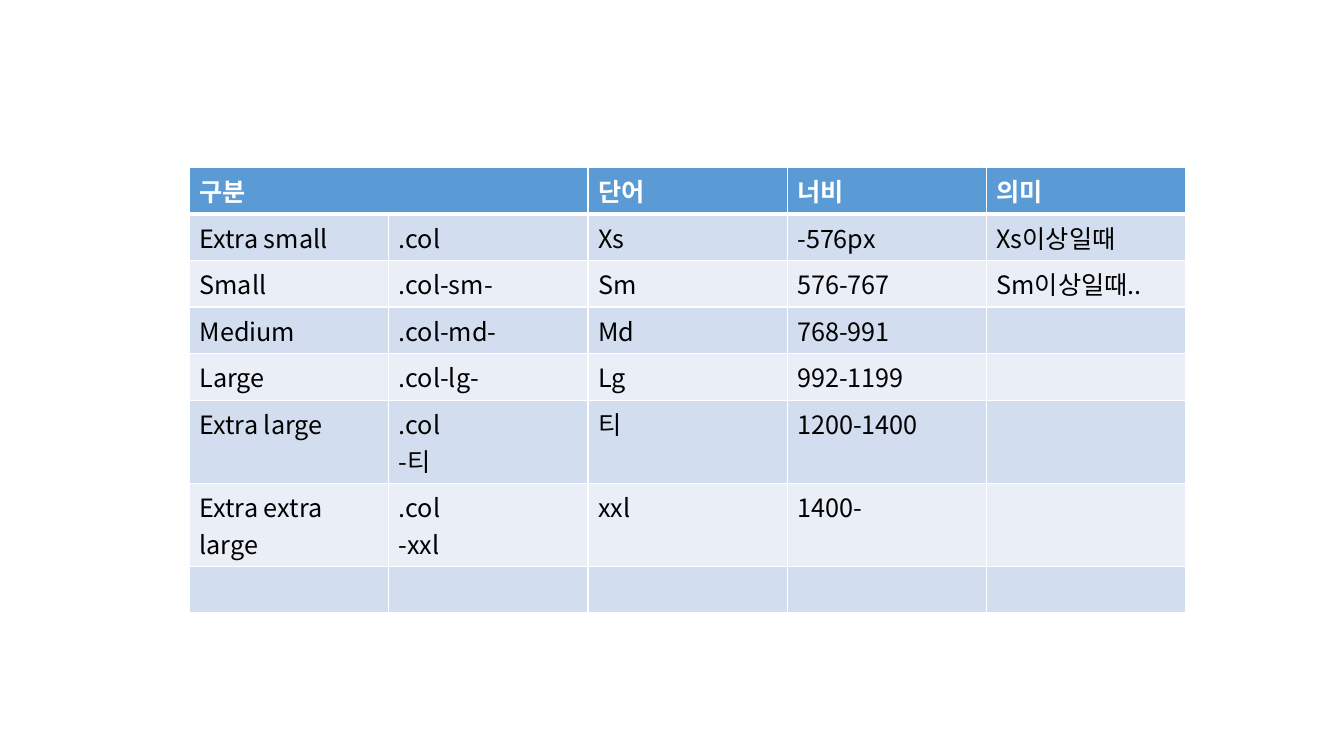
from lxml.etree import SubElement
from pptx import Presentation
from pptx.dml.color import RGBColor
from pptx.oxml.ns import qn
from pptx.util import Inches, Pt

FONT = "Noto Sans CJK KR"
WHITE = RGBColor(0xFF, 0xFF, 0xFF)
BLACK = RGBColor(0, 0, 0)
HEADER_BLUE = RGBColor(0x5B, 0x9B, 0xD5)
BANDS = [RGBColor(0xEA, 0xEF, 0xF7), RGBColor(0xD2, 0xDE, 0xEF)]

ROWS = [
    ["구분", "", "단어", "너비", "의미"],
    ["Extra small", ".col", "Xs", "-576px", "Xs이상일때"],
    ["Small", ".col-sm-", "Sm", "576-767", "Sm이상일때.."],
    ["Medium", ".col-md-", "Md", "768-991", ""],
    ["Large", ".col-lg-", "Lg", "992-1199", ""],
    ["Extra large", ".col\n-티", "티", "1200-1400", ""],
    ["Extra extra large", ".col\n-xxl", "xxl", "1400-", ""],
    [""] * 5,
]
ROW_HEIGHTS = [0.46] * 5 + [0.8] * 2 + [0.46]


def set_borders(cell, bottom_width):
    """Give a cell white 1 pt borders and a bottom border of the given width."""
    tc_pr = cell._tc.get_or_add_tcPr()
    for side, width in (("L", 1), ("R", 1), ("T", 1), ("B", bottom_width)):
        line = SubElement(tc_pr, qn(f"a:ln{side}"), w=str(Pt(width)))
        fill = SubElement(line, qn("a:solidFill"))
        SubElement(fill, qn("a:srgbClr"), val=str(WHITE))


def format_run(r, is_header):
    """Set the font of a run for Latin and Korean text."""
    r.font.name = FONT
    r.font.size = Pt(18)
    r.font.bold = is_header
    r.font.color.rgb = WHITE if is_header else BLACK
    SubElement(r._r.get_or_add_rPr(), qn("a:ea"), typeface=FONT)


prs = Presentation()
prs.slide_width = Inches(13.33)
prs.slide_height = Inches(7.5)
s = prs.slides.add_slide(prs.slide_layouts[6])

table = s.shapes.add_table(
    len(ROWS), len(ROWS[0]), Inches(1.88), Inches(1.66),
    Inches(9.88), Inches(sum(ROW_HEIGHTS)),
).table
for column in table.columns:
    column.width = Inches(9.88 / len(ROWS[0]))
for row, height in zip(table.rows, ROW_HEIGHTS):
    row.height = Inches(height)
table.cell(0, 0).merge(table.cell(0, 1))

for i, texts in enumerate(ROWS):
    is_header = i == 0
    for j, text in enumerate(texts):
        cell = table.cell(i, j)
        set_borders(cell, 3 if is_header else 1)
        cell.fill.solid()
        cell.fill.fore_color.rgb = HEADER_BLUE if is_header else BANDS[i % 2]
        cell.text_frame.text = text
        for p in cell.text_frame.paragraphs:
            for r in p.runs:
                format_run(r, is_header)

prs.save("out.pptx")
